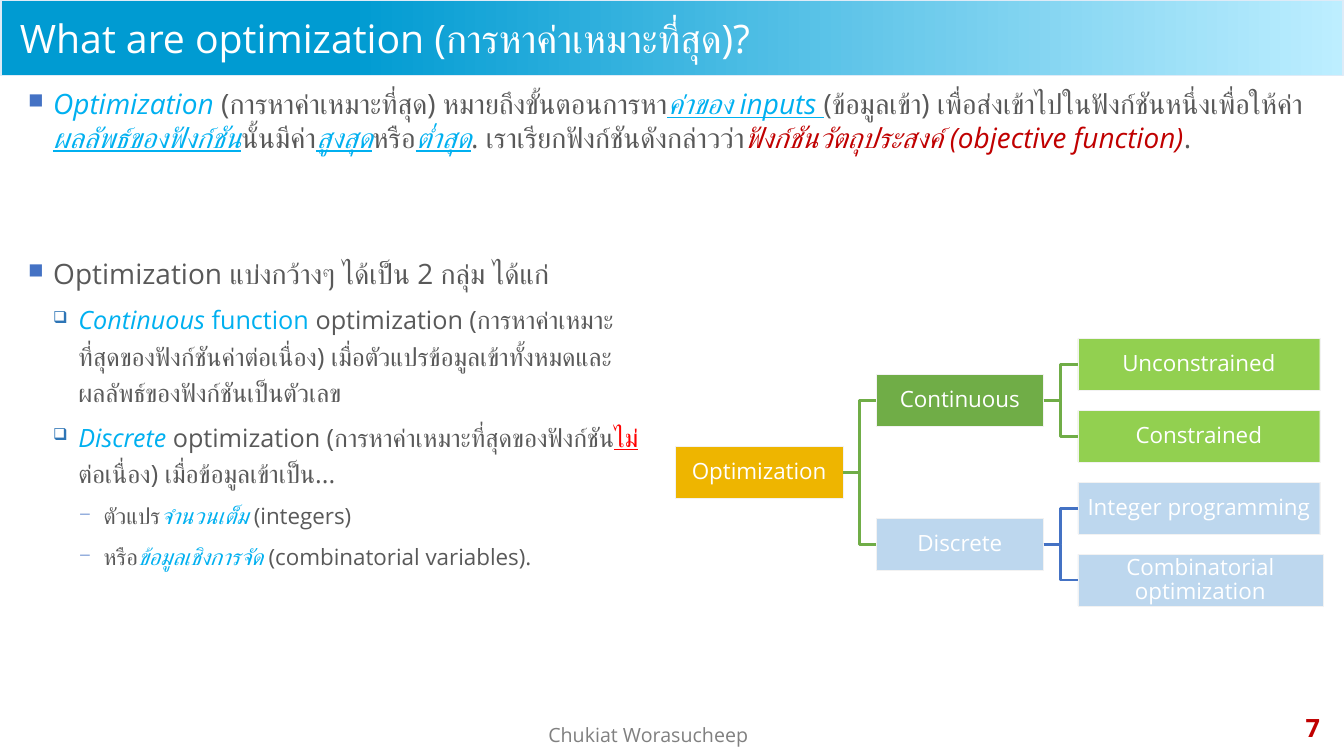
from dataclasses import dataclass
from typing import NamedTuple

from lxml.etree import SubElement
from pptx import Presentation
from pptx.dml.color import RGBColor
from pptx.enum.shapes import MSO_CONNECTOR as Connector, MSO_SHAPE as Preset
from pptx.enum.text import MSO_ANCHOR as Anchor, PP_ALIGN as Align
from pptx.oxml.ns import qn
from pptx.util import Inches, Pt

FONT = "Open Sans"
COLORS = {
    "white": "FFFFFF", "text": "595959", "grey": "808080", "cyan": "00B0F0",
    "dark_red": "C00000", "red": "FF0000", "blue": "4472C4", "steel": "2E75B6",
    "banner": "009BD2", "banner_light": "BDEEFF", "banner_edge": "DEEBF7",
    "gold": "EEB500", "green": "70AD47", "lime": "92D050",
    "pale_blue": "BDD7EE", "box_edge": "F2F2F2",
}
TREE_TOP = 3.36
ROW_STEP = 2.14 / 3
BOX_HEIGHT = 0.51
COLUMN_LEFTS = (6.7, 8.69, 10.69)


class Span(NamedTuple):
    text: str
    color: str = "text"
    italic: bool = False
    underline: bool = False


class Bullet(NamedTuple):
    char: str
    color: str
    percent: int
    size: int


@dataclass
class Item:
    level: int
    spans: list[Span]


@dataclass
class Node:
    text: str
    column: int
    row: float
    width: float
    fill: str
    parent: str = ""
    line: str = "green"


BULLETS = (
    Bullet("■", "blue", 75, 20),
    Bullet("❑", "steel", 65, 18),
    Bullet("−", "blue", 75, 16),
)

DEFINITION = [
    Item(0, [
        Span("Optimization", "cyan", True),
        Span(" (การหาค่าเหมาะที่สุด) หมายถึงขั้นตอนการหา"),
        Span("ค่าของ inputs ", "cyan", True, True),
        Span("(ข้อมูลเข้า) เพื่อส่งเข้าไปในฟังก์ชันหนึ่งเพื่อให้ค่า"),
        Span("ผลลัพธ์ของฟังก์ชัน", "cyan", True, True),
        Span("นั้นมีค่า"),
        Span("สูงสุด", "cyan", True, True),
        Span("หรือ"),
        Span("ต่ำสุด", "cyan", True, True),
        Span(". เราเรียกฟังก์ชันดังกล่าวว่า"),
        Span("ฟังก์ชันวัตถุประสงค์ (objective function)", "dark_red", True),
        Span("."),
    ]),
]

GROUPS = [
    Item(0, [Span("Optimization แบ่งกว้างๆ ได้เป็น 2 กลุ่ม ได้แก่")]),
    Item(1, [
        Span("Continuous ", "cyan", True),
        Span("function", "cyan"),
        Span(" optimization (การหาค่าเหมาะที่สุดของฟังก์ชันค่าต่อเนื่อง) "
             "เมื่อตัวแปรข้อมูลเข้าทั้งหมดและผลลัพธ์ของฟังก์ชันเป็นตัวเลข"),
    ]),
    Item(1, [
        Span("Discrete", "cyan", True),
        Span(" optimization (การหาค่าเหมาะที่สุดของฟังก์ชัน"),
        Span("ไม่", "red", False, True),
        Span("ต่อเนื่อง) เมื่อข้อมูลเข้าเป็น..."),
    ]),
    Item(2, [Span("ตัวแปร"), Span("จำนวนเต็ม ", "cyan", True), Span("(integers)")]),
    Item(2, [Span("หรือ"), Span("ข้อมูลเชิงการจัด ", "cyan", True),
             Span("(combinatorial variables).")]),
]

NODES = [
    Node("Optimization", 0, 1.5, 1.66, "gold"),
    Node("Continuous", 1, 0.5, 1.66, "green", "Optimization"),
    Node("Discrete", 1, 2.5, 1.66, "pale_blue", "Optimization"),
    Node("Unconstrained", 2, 0, 2.4, "lime", "Continuous"),
    Node("Constrained", 2, 1, 2.4, "lime", "Continuous"),
    Node("Integer programming", 2, 2, 2.4, "pale_blue", "Discrete", "blue"),
    Node("Combinatorial optimization", 2, 3, 2.43, "pale_blue", "Discrete", "blue"),
]


def color(name: str) -> RGBColor:
    return RGBColor.from_string(COLORS[name])


def add_span(para, text: str, *, size: int, tint: str = "text", bold: bool = False,
             italic: bool = False, underline: bool = False) -> None:
    span = para.add_run()
    span.text = text
    font = span.font
    font.name, font.size, font.bold = FONT, Pt(size), bold
    font.italic, font.underline = italic, underline
    font.color.rgb = color(tint)
    SubElement(font._element, qn("a:cs"), typeface=FONT)


def add_box(page, left: float, top: float, width: float, height: float, anchor=Anchor.TOP):
    box = page.shapes.add_textbox(Inches(left), Inches(top), Inches(width), Inches(height))
    box.text_frame.word_wrap = True
    box.text_frame.vertical_anchor = anchor
    return box


def set_bullet(para, level: int) -> None:
    bullet = BULLETS[level]
    para.level = level
    properties = para._p.get_or_add_pPr()
    properties.set("marL", str(Inches(0.25 * (level + 1))))
    properties.set("indent", str(Inches(-0.25)))
    tint = SubElement(properties, qn("a:buClr"))
    SubElement(tint, qn("a:srgbClr"), val=COLORS[bullet.color])
    SubElement(properties, qn("a:buSzPct"), val=str(bullet.percent * 1000))
    SubElement(properties, qn("a:buChar"), char=bullet.char)


def add_list(box, items: list[Item], line_spacing: float) -> None:
    frame = box.text_frame
    for index, item in enumerate(items):
        para = frame.add_paragraph() if index else frame.paragraphs[0]
        set_bullet(para, item.level)
        para.line_spacing = line_spacing
        para.space_after = Pt(6)
        for span in item.spans:
            add_span(para, span.text, size=BULLETS[item.level].size, tint=span.color,
                     italic=span.italic, underline=span.underline)


def add_banner(page) -> None:
    banner = page.shapes.add_shape(Preset.RECTANGLE, Inches(0.01), Inches(0),
                                   Inches(13.31), Inches(0.75))
    banner.shadow.inherit = False
    banner.fill.gradient()
    banner.fill.gradient_angle = 0
    stops = zip(banner.fill.gradient_stops, (0.26, 1), ("banner", "banner_light"))
    for stop, position, name in stops:
        stop.position = position
        stop.color.rgb = color(name)
    banner.line.color.rgb = color("banner_edge")
    banner.line.width = Pt(1)


def add_node(page, node: Node):
    box = page.shapes.add_shape(
        Preset.RECTANGLE, Inches(COLUMN_LEFTS[node.column]),
        Inches(TREE_TOP + node.row * ROW_STEP), Inches(node.width), Inches(BOX_HEIGHT))
    box.shadow.inherit = False
    box.fill.solid()
    box.fill.fore_color.rgb = color(node.fill)
    box.line.color.rgb = color("box_edge")
    box.line.width = Pt(0.25)
    frame = box.text_frame
    frame.word_wrap = True
    frame.vertical_anchor = Anchor.MIDDLE
    frame.margin_left = frame.margin_right = Inches(0.01)
    frame.margin_top = frame.margin_bottom = Inches(0.01)
    para = frame.paragraphs[0]
    para.alignment, para.line_spacing = Align.CENTER, 0.9
    add_span(para, node.text, size=16, tint="white")
    return box


def add_branch(page, parent, child, tint: str) -> None:
    branch = page.shapes.add_connector(Connector.ELBOW, 0, 0, 0, 0)
    branch.begin_connect(parent, 3)
    branch.end_connect(child, 1)
    branch.line.color.rgb = color(tint)
    branch.line.width = Pt(2)
    SubElement(branch._element.spPr, qn("a:effectLst"))


def main() -> None:
    deck = Presentation()
    deck.slide_width, deck.slide_height = Inches(13.33), Inches(7.5)
    page = deck.slides.add_slide(deck.slide_layouts[6])

    add_banner(page)
    title = add_box(page, 0.1, 0.08, 12.93, 0.59, Anchor.MIDDLE)
    add_span(title.text_frame.paragraphs[0], "What are optimization (การหาค่าเหมาะที่สุด)?",
             size=28, tint="white")
    add_list(add_box(page, 0.18, 0.81, 12.93, 1.55), DEFINITION, 1.0)
    add_list(add_box(page, 0.18, 2.43, 6.33, 4.5), GROUPS, 1.2)

    boxes = {node.text: add_node(page, node) for node in NODES}
    for node in NODES:
        if node.parent:
            add_branch(page, boxes[node.parent], boxes[node.text], node.line)

    footer = add_box(page, 1.39, 7.05, 10.08, 0.4, Anchor.BOTTOM).text_frame.paragraphs[0]
    footer.alignment = Align.CENTER
    add_span(footer, "Chukiat Worasucheep", size=14, tint="grey")
    number = add_box(page, 11.7, 7.02, 1.49, 0.4, Anchor.BOTTOM).text_frame.paragraphs[0]
    number.alignment = Align.RIGHT
    add_span(number, "7", size=18, tint="dark_red", bold=True)
    deck.save("out.pptx")


if __name__ == "__main__":
    main()
